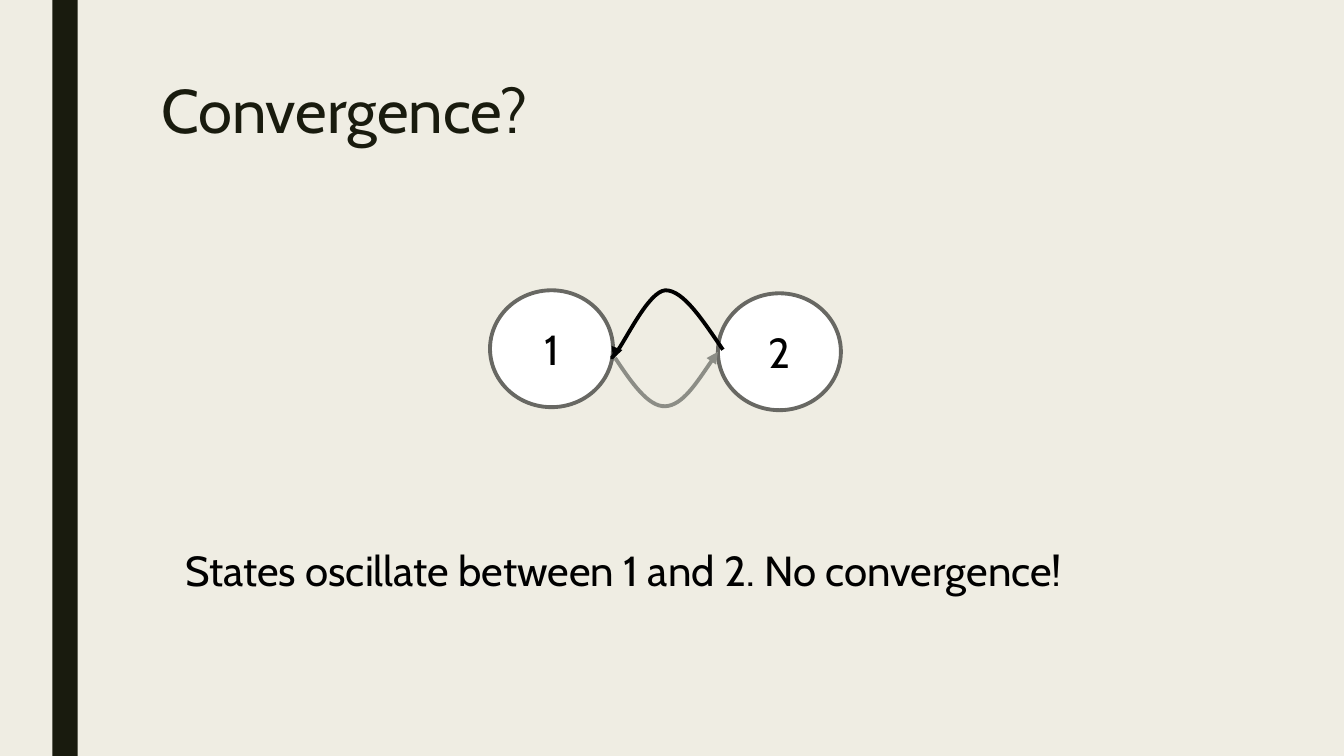
from lxml.etree import SubElement
from pptx import Presentation
from pptx.dml.color import RGBColor
from pptx.enum.shapes import MSO_SHAPE as Kind
from pptx.enum.text import MSO_ANCHOR as Anchor, PP_ALIGN as Align
from pptx.oxml.ns import qn
from pptx.util import Inches, Pt

COLORS = {
    "paper": "EFEDE3",
    "dark": "191B0E",
    "white": "FFFFFF",
    "ring": "686863",
    "black": "000000",
    "gray": "8C8D86",
}


def color(name):
    return RGBColor.from_string(COLORS[name])


def write(frame, text, size, tint):
    """Put one styled line of text in a frame and return its paragraph."""
    frame.word_wrap = True
    para = frame.paragraphs[0]
    para.text = text
    font = para.runs[0].font
    font.name, font.size = "Cabin", Pt(size)
    font.color.rgb = color(tint)
    return para


deck = Presentation()
deck.slide_width, deck.slide_height = Inches(13.33), Inches(7.5)
slide = deck.slides.add_slide(deck.slide_layouts[6])
slide.background.fill.solid()
slide.background.fill.fore_color.rgb = color("paper")
shapes = slide.shapes

bar = shapes.add_shape(Kind.RECTANGLE, Inches(0.52), 0, Inches(0.25), Inches(7.5))
bar.shadow.inherit = False
bar.fill.solid()
bar.fill.fore_color.rgb = color("dark")
bar.line.fill.background()

title = shapes.add_textbox(Inches(1.5), Inches(0.75), Inches(10.5), Inches(1.62))
write(title.text_frame, "Convergence?", 44, "dark").line_spacing = 0.89

# State circles
for label, left, top in [("1", 4.86, 2.88), ("2", 7.12, 2.91)]:
    state = shapes.add_shape(
        Kind.OVAL, Inches(left), Inches(top), Inches(1.22), Inches(1.16))
    state.shadow.inherit = False
    state.fill.solid()
    state.fill.fore_color.rgb = color("white")
    state.line.color.rgb = color("ring")
    state.line.width = Pt(2.75)
    state.text_frame.vertical_anchor = Anchor.MIDDLE
    write(state.text_frame, label, 30, "black").alignment = Align.CENTER

# Curved arrows: a start point, then three points for each Bezier segment
arrows = [
    ("black", "a:headEnd", [
        (6.08, 3.56), (6.05, 3.58), (6.02, 3.61), (6.11, 3.5),
        (6.2, 3.39), (6.43, 2.89), (6.6, 2.88),
        (6.78, 2.88), (6.97, 3.18), (7.17, 3.47)]),
    ("gray", "a:tailEnd", [
        (6.1, 3.55), (6.26, 3.79), (6.43, 4.04), (6.6, 4.03),
        (6.77, 4.02), (6.94, 3.75), (7.12, 3.49)]),
]
for tint, end, points in arrows:
    start, *rest = [(Inches(x), Inches(y)) for x, y in points]
    pen = shapes.build_freeform(*start)
    pen.add_line_segments(rest, close=False)
    curve = pen.convert_to_shape()
    curve.shadow.inherit = False
    curve.fill.background()
    curve.line.color.rgb = color(tint)
    curve.line.width = Pt(2.75)
    SubElement(curve.line._get_or_add_ln(), qn(end), type="triangle")

    track = next(curve._element.iter(qn("a:path")))
    steps = track.findall(qn("a:lnTo"))
    for i in range(0, len(steps), 3):
        bend = SubElement(track, qn("a:cubicBezTo"))
        for step in steps[i:i + 3]:
            bend.append(step[0])
            track.remove(step)

note = shapes.add_textbox(Inches(1.74), Inches(5.35), Inches(9.85), Inches(0.61))
write(note.text_frame, "States oscillate between 1 and 2. No convergence!", 30, "black")

deck.save("out.pptx")
